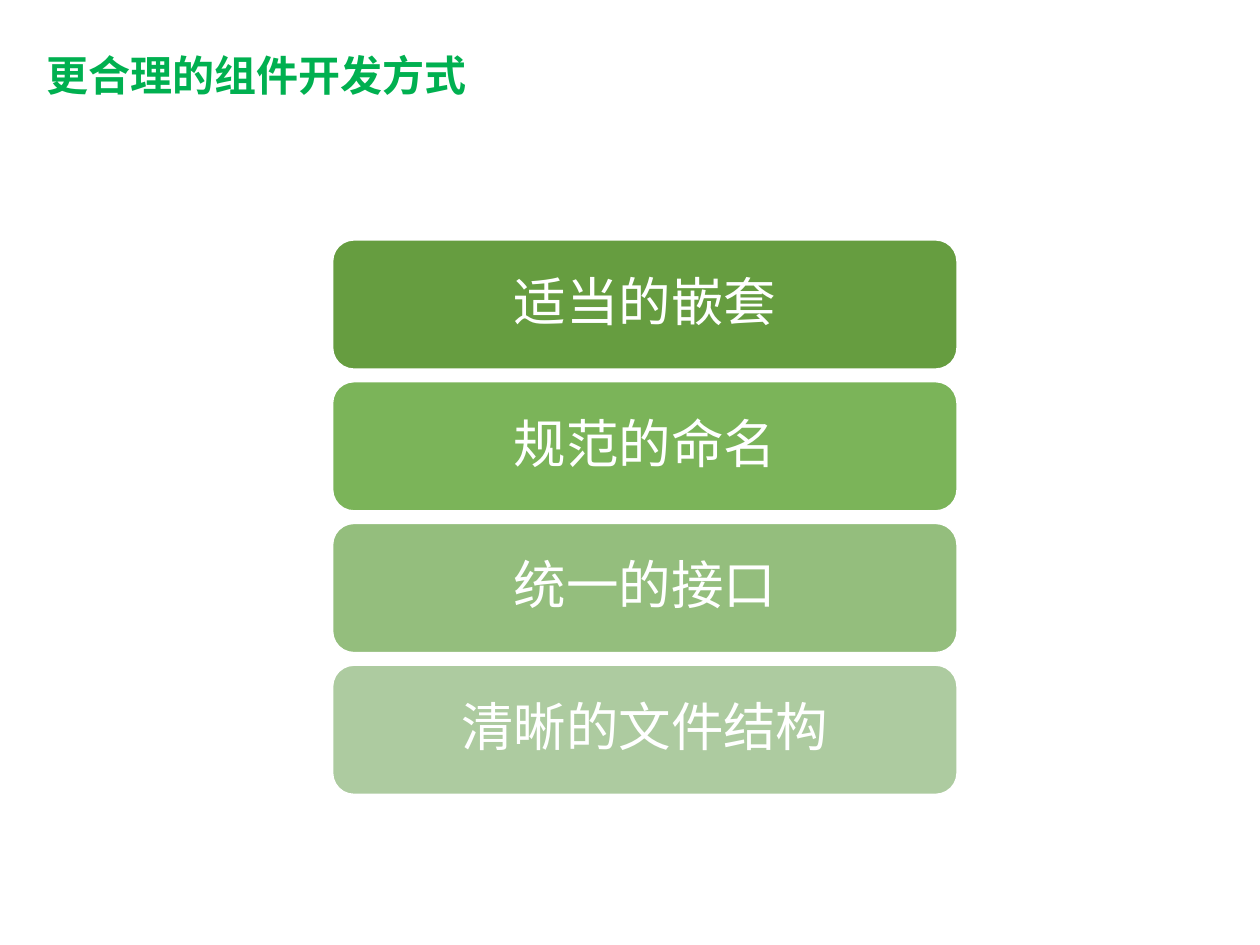
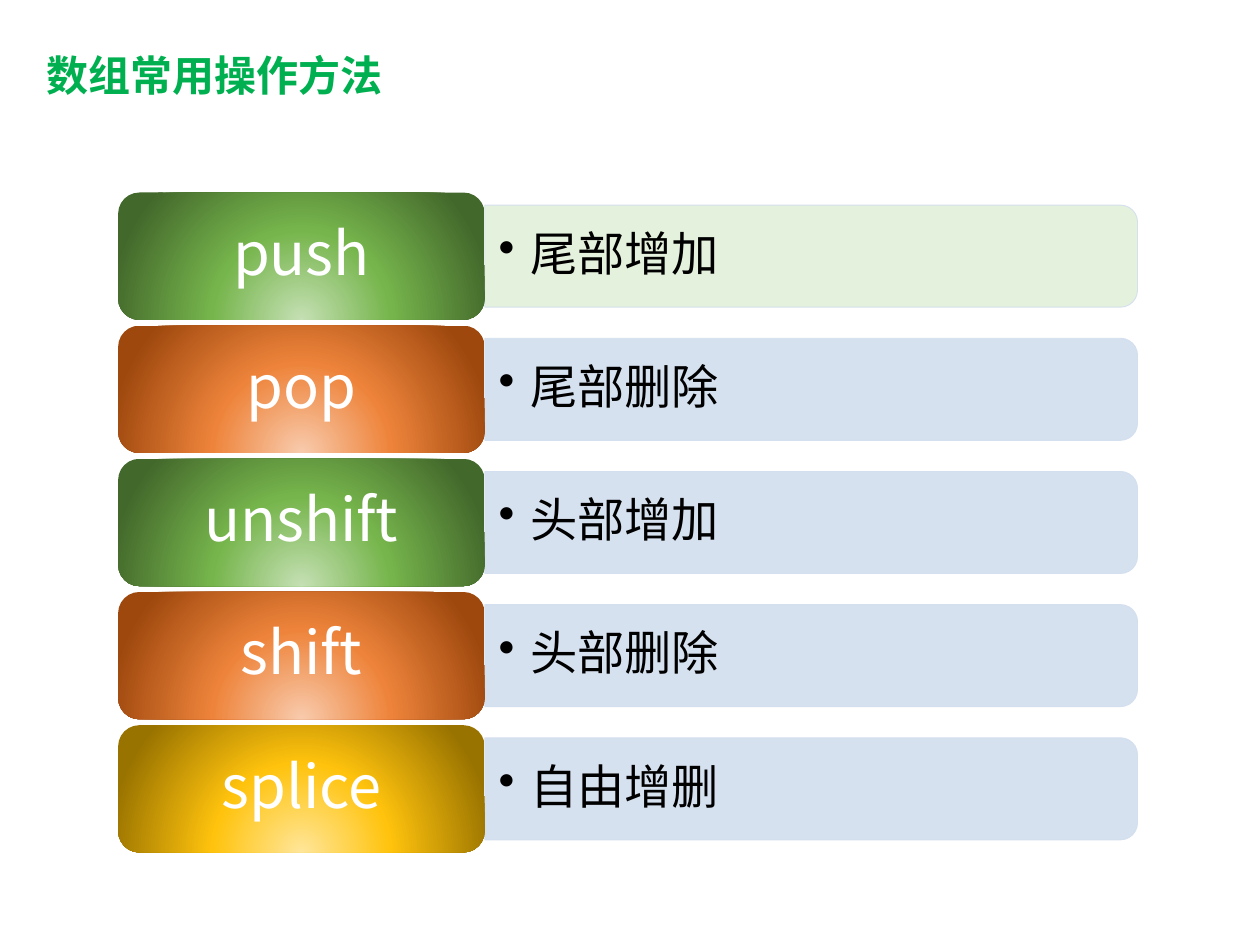
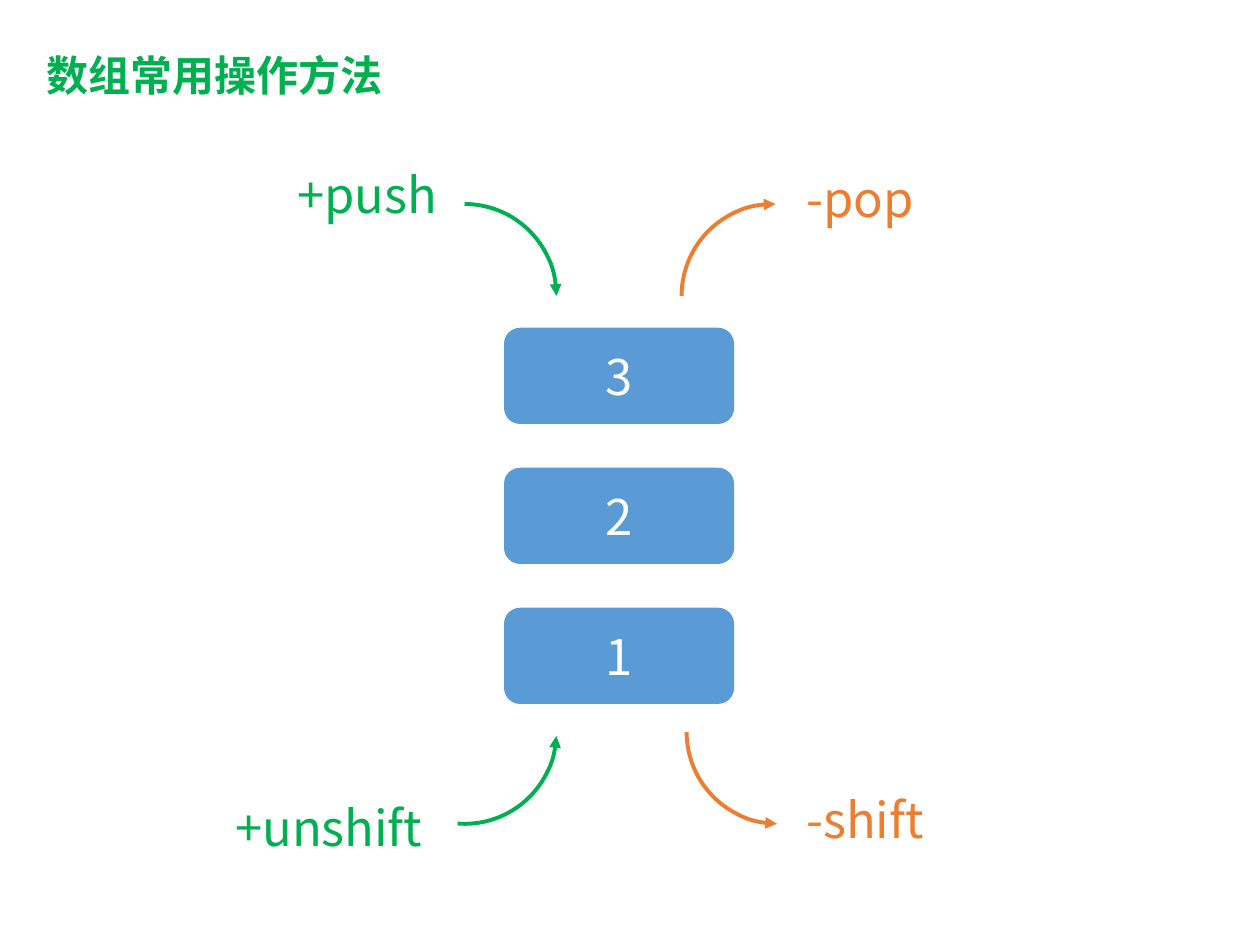
from dataclasses import dataclass

import pptx
import pptx.dml.color
import pptx.enum.shapes
import pptx.enum.text
import pptx.oxml
import pptx.oxml.ns
import pptx.util

Pt = pptx.util.Pt
qn = pptx.oxml.ns.qn
SHAPE = pptx.enum.shapes.MSO_SHAPE
ALIGN = pptx.enum.text.PP_ALIGN
MIDDLE = pptx.enum.text.MSO_ANCHOR.MIDDLE
AUTO_SIZE = pptx.enum.text.MSO_AUTO_SIZE


@dataclass(frozen=True)
class Theme:
    font: str = "Noto Sans CJK SC"
    white: str = "FFFFFF"
    black: str = "000000"
    green: str = "00B050"
    orange: str = "ED7D31"
    blue: str = "5B9BD5"
    pale_blue: str = "D2DEEF"
    pale_green: str = "E2F0D9"
    green_glow: tuple = ("C5E0B4", "76B54C", "43682B")
    orange_glow: tuple = ("F8CBAD", "EE843B", "9E480E")
    gold_glow: tuple = ("FFE699", "FFC30D", "997300")
    title_size: int = 24
    principle_size: int = 30
    method_size: int = 34
    effect_size: int = 27
    stack_size: int = 28


T = Theme()


def rgb(value):
    return pptx.dml.color.RGBColor.from_string(value)


def set_values(obj, values):
    for name, value in values.items():
        setattr(obj, name, value)


def add_xml(parent, tag, **attrs):
    child = parent.makeelement(qn(tag), attrs)
    parent.append(child)
    return child


def place(sp, box):
    set_values(sp, dict(zip(("left", "top", "width", "height"), map(Pt, box))))


def write(tf, text, size, color, frame=None, para=None, bold=False, bullet=False):
    """Fill a text frame with one formatted paragraph."""
    set_values(tf, frame or {})
    p = tf.paragraphs[0]
    if bullet:
        p.level = 1
        pPr = p._p.get_or_add_pPr()
        pPr.set("marL", str(Pt(18)))
        pPr.set("indent", str(-Pt(18)))
        add_xml(pPr, "a:buChar", char="•")
    set_values(p, para or {})
    r = p.add_run()
    r.text = text
    set_values(r.font, {"name": T.font, "size": Pt(size), "bold": bold})
    r.font.color.rgb = rgb(color)
    add_xml(r._r.get_or_add_rPr(), "a:ea", typeface=T.font)


def add_titled_slide(prs, title):
    slide = prs.slides.add_slide(prs.slide_layouts[5])
    sp = slide.shapes.title
    place(sp, (19.5, 24.5, 335, 40))
    write(sp.text_frame, title, T.title_size, T.green,
          {"vertical_anchor": MIDDLE, "auto_size": AUTO_SIZE.NONE},
          {"alignment": ALIGN.LEFT, "line_spacing": 0.9}, bold=True)
    return slide


def add_plain_shape(slide, kind, box, fill=None, line=None, line_width=1):
    sp = slide.shapes.add_shape(kind, *map(Pt, box))
    sp.shadow.inherit = False
    if fill:
        sp.fill.solid()
        sp.fill.fore_color.rgb = rgb(fill)
    else:
        sp.fill.background()
    if line:
        sp.line.color.rgb = rgb(line)
        sp.line.width = Pt(line_width)
    else:
        sp.line.fill.background()
    return sp


def add_card(slide, box, text, size, fill, line=None, line_spacing=1.0):
    sp = add_plain_shape(slide, SHAPE.ROUNDED_RECTANGLE, box, fill, line)
    write(sp.text_frame, text, size, T.white,
          {"vertical_anchor": MIDDLE, "word_wrap": True},
          {"alignment": ALIGN.CENTER, "line_spacing": line_spacing})
    return sp


def set_glow(sp, colors):
    """Replace the fill by a round gradient that spreads from below the shape."""
    spPr = sp._element.spPr
    grad = spPr.makeelement(qn("a:gradFill"), {"rotWithShape": "1"})
    stops = add_xml(grad, "a:gsLst")
    for pos, color in zip((0, 46000, 100000), colors):
        add_xml(add_xml(stops, "a:gs", pos=str(pos)), "a:srgbClr", val=color)
    circle = add_xml(grad, "a:path", path="circle")
    add_xml(circle, "a:fillToRect", l="50000", t="130000", r="50000", b="-30000")
    spPr.replace(spPr.find(qn("a:solidFill")), grad)


def add_effect_bar(slide, box, text, fill):
    """Draw a bar rounded on its right side, with a bullet text over it."""
    left, top, width, height = box
    turned = (left + (width - height) / 2, top + (height - width) / 2, height, width)
    sp = add_plain_shape(slide, SHAPE.ROUND_2_SAME_RECTANGLE, turned, fill,
                         T.pale_blue, 0.5)
    sp.rotation = 90
    for color in list(sp._element.spPr.iter(qn("a:srgbClr"))):
        add_xml(color, "a:alpha", val="90000")
    tb = slide.shapes.add_textbox(*map(Pt, box))
    write(tb.text_frame, text, T.effect_size, T.black,
          {"vertical_anchor": MIDDLE, "word_wrap": True, "margin_left": Pt(8),
           "margin_right": Pt(8), "margin_top": Pt(4), "margin_bottom": Pt(4)},
          {"line_spacing": 0.9}, bullet=True)


def add_arc_arrow(slide, left, top, color, angles, end):
    """Draw a quarter arc; angles are in degrees, end is headEnd or tailEnd."""
    sp = add_plain_shape(slide, SHAPE.ARC, (left, top, 105, 105), None, color, 2.25)
    for i, angle in enumerate(angles):
        sp.adjustments[i] = angle * 0.6
    add_xml(sp.line._get_or_add_ln(), "a:" + end, type="triangle")


def add_label(slide, box, text, color):
    tb = slide.shapes.add_textbox(*map(Pt, box))
    write(tb.text_frame, text, T.stack_size, color,
          {"word_wrap": False, "auto_size": AUTO_SIZE.SHAPE_TO_FIT_TEXT})


def build_principles(prs):
    slide = add_titled_slide(prs, "更合理的组件开发方式")
    principles = (("适当的嵌套", "669D40"), ("规范的命名", "7BB459"),
                  ("统一的接口", "94BE7D"), ("清晰的文件结构", "ADCBA0"))
    for i, (text, fill) in enumerate(principles):
        add_card(slide, (190, 137 + 81 * i, 357, 74), text, T.principle_size,
                 fill, T.white, 0.9)


def build_methods(prs):
    slide = add_titled_slide(prs, "数组常用操作方法")
    methods = (("push", "尾部增加", T.green_glow, T.pale_green),
               ("pop", "尾部删除", T.orange_glow, T.pale_blue),
               ("unshift", "头部增加", T.green_glow, T.pale_blue),
               ("shift", "头部删除", T.orange_glow, T.pale_blue),
               ("splice", "自由增删", T.gold_glow, T.pale_blue))
    for i, (name, effect, glow, bar_fill) in enumerate(methods):
        top = 110 + 76.1 * i
        add_effect_bar(slide, (277, top + 7.2, 373, 58.3), effect, bar_fill)
        sp = add_card(slide, (67.5, top, 209.5, 72.7), name, T.method_size, glow[1],
                      line_spacing=0.9)
        set_glow(sp, glow)


def build_stack(prs):
    slide = add_titled_slide(prs, "数组常用操作方法")
    for i, number in enumerate("321"):
        add_card(slide, (288, 187.3 + 80 * i, 131.5, 55), number, T.stack_size, T.blue)
    for left, top, color, angles, end in (
            (213, 116.6, T.green, (270, 0), "tailEnd"),
            (389.5, 116.6, T.orange, (180, 271.3), "tailEnd"),
            (213, 365.8, T.green, (2.5, 94.3), "headEnd"),
            (392.4, 365.8, T.orange, (90.9, 179.9), "headEnd")):
        add_arc_arrow(slide, left, top, color, angles, end)
    for text, left, top, width, color in (
            ("+push", 162.7, 90.7, 101.5, T.green),
            ("-pop", 453.6, 93, 80.6, T.orange),
            ("+unshift", 127.4, 452.2, 129.6, T.green),
            ("-shift", 453.6, 447.8, 85.7, T.orange)):
        add_label(slide, (left, top, width, 41), text, color)


def main():
    prs = pptx.Presentation()
    set_values(prs, {"slide_width": Pt(720), "slide_height": Pt(540)})
    for build in (build_principles, build_methods, build_stack):
        build(prs)
    prs.save("out.pptx")


if __name__ == "__main__":
    main()
